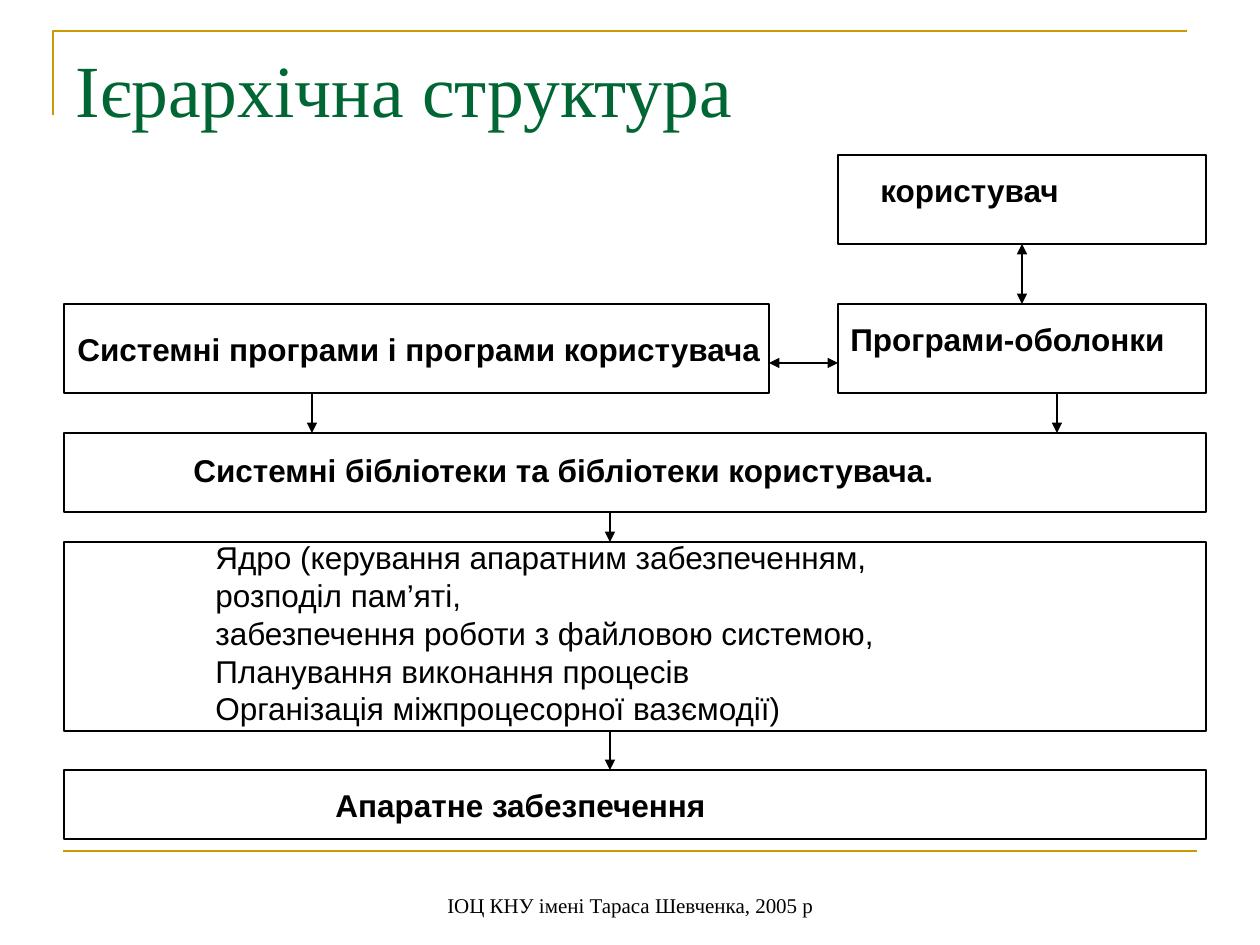
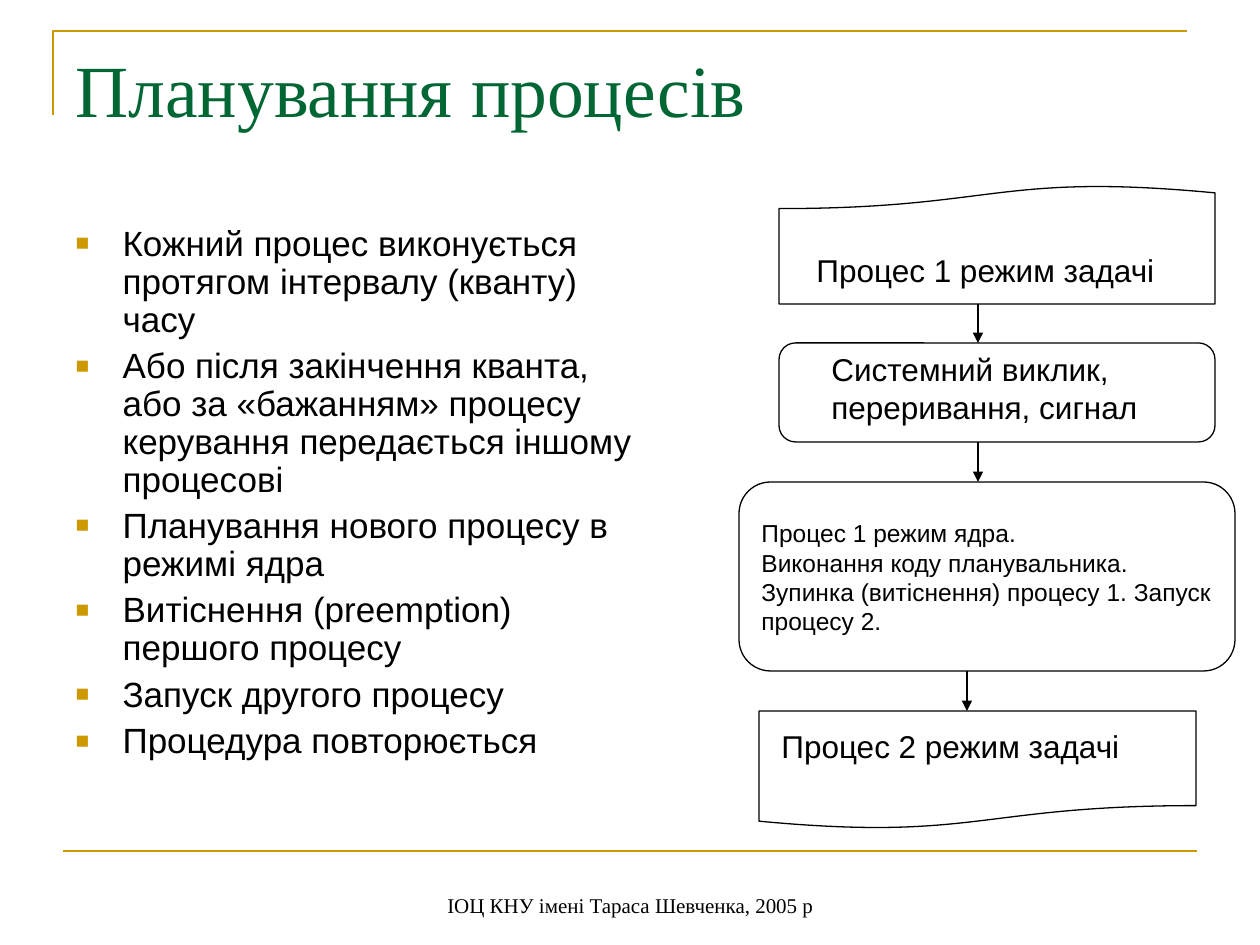
import dataclasses

import lxml.etree
import pptx
import pptx.dml.color
import pptx.enum.shapes
import pptx.enum.text
import pptx.oxml.ns
import pptx.util

SCALE = 914400 / 126
KIND = pptx.enum.shapes.MSO_SHAPE
ALIGN = pptx.enum.text.PP_ALIGN
ANCHOR = pptx.enum.text.MSO_ANCHOR
FIT = pptx.enum.text.MSO_AUTO_SIZE


@dataclasses.dataclass(frozen=True)
class Theme:
    """Colours, fonts and type sizes of the deck."""
    ink: str = "000000"
    green: str = "006633"
    gold: str = "CC9900"
    serif: str = "Times New Roman"
    sans: str = "Arial"
    title: int = 42
    body: int = 20
    label: int = 18
    small: int = 14
    foot: int = 12
    thin: float = 0.75
    rule: float = 1.5


THEME = Theme()


def px(*nums):
    """Turn px lengths into EMU."""
    return [pptx.util.Emu(round(num * SCALE)) for num in nums]


def rgb(code):
    """Turn a hex code into a colour."""
    return pptx.dml.color.RGBColor.from_string(code)


def child(parent, tag, **attrs):
    """Append an XML element to its parent."""
    return lxml.etree.SubElement(parent, pptx.oxml.ns.qn(tag), attrs)


def place(shape, box):
    """Move and size a shape to a px box."""
    shape.left, shape.top, shape.width, shape.height = px(*box)


def write(frame, text, size=THEME.label, color=THEME.ink, font=THEME.sans, bold=False,
          align=ALIGN.LEFT, anchor=ANCHOR.TOP, wrap=True, fit=FIT.NONE):
    """Fill a text frame, one paragraph a line."""
    frame.text = text
    frame.word_wrap = wrap
    frame.auto_size = fit
    frame.vertical_anchor = anchor
    for para in frame.paragraphs:
        para.alignment = align
        for run in para.runs:
            run.font.size = pptx.util.Pt(size)
            run.font.name = font
            run.font.bold = bold
            run.font.color.rgb = rgb(color)


def label(slide, box, text, **form):
    """Add a text box."""
    shape = slide.shapes.add_textbox(*px(*box))
    write(shape.text_frame, text, **form)


def stroke(shape, color=THEME.ink, width=THEME.thin):
    """Set the outline of a shape."""
    shape.line.color.rgb = rgb(color)
    shape.line.width = pptx.util.Pt(width)


def node(slide, kind, box, area, text, turn=0, **form):
    """Add an outlined box with its label."""
    shape = slide.shapes.add_shape(kind, *px(*box))
    shape.shadow.inherit = False
    shape.fill.background()
    shape.rotation = turn
    stroke(shape)
    label(slide, area, text, fit=FIT.SHAPE_TO_FIT_TEXT, **form)
    return shape


def line(slide, start, end, **form):
    """Add a straight line without a shadow."""
    link = slide.shapes.add_connector(
        pptx.enum.shapes.MSO_CONNECTOR.STRAIGHT, *px(*start, *end))
    stroke(link, **form)
    child(link._element.spPr, "a:effectLst")
    return link


def arrow(slide, start, end, both=False):
    """Add a line with one or two arrowheads."""
    link = line(slide, start, end)
    edge = link._element.spPr.find(pptx.oxml.ns.qn("a:ln"))
    for tag in ("a:headEnd", "a:tailEnd") if both else ("a:tailEnd",):
        child(edge, tag, type="triangle")
    return link


def drop(slide, x, top, end):
    """Add an arrow straight down."""
    arrow(slide, (x, top), (x, end))


def bullets(slide, box, items):
    """Fill the body placeholder with a bulleted list."""
    body = slide.placeholders[1]
    place(body, box)
    write(body.text_frame, "\n".join(items), size=THEME.body)
    indent = px(47)[0]
    for para in body.text_frame.paragraphs:
        para.line_spacing = 0.9
        para.space_before = pptx.util.Pt(5)
        props = para._p.get_or_add_pPr()
        props.set("marL", str(indent))
        props.set("indent", str(-indent))
        child(child(props, "a:buClr"), "a:srgbClr", val=THEME.gold)
        child(props, "a:buSzPct", val="65000")
        child(props, "a:buFont", typeface=THEME.sans)
        child(props, "a:buChar", char="■")


def start(deck, layout, title):
    """Add a slide with its rules, title and footer."""
    slide = deck.slides.add_slide(deck.slide_layouts[layout])
    pen = slide.shapes.build_freeform(53, 115, SCALE)
    pen.add_line_segments([(53, 31), (1187, 31)], close=False)
    corner = pen.convert_to_shape()
    corner.shadow.inherit = False
    corner.fill.background()
    stroke(corner, THEME.gold, THEME.rule)
    line(slide, (63, 851), (1197, 851), color=THEME.gold, width=THEME.rule)
    place(slide.shapes.title, (63, 38, 1134, 157))
    write(slide.shapes.title.text_frame, title, size=THEME.title,
          color=THEME.green, font=THEME.serif)
    label(slide, (431, 861, 399, 63), "ІОЦ КНУ імені Тараса Шевченка, 2005 р",
          size=THEME.foot, font=THEME.serif, align=ALIGN.CENTER, anchor=ANCHOR.BOTTOM)
    return slide


def layers(deck):
    """Build the slide on the layers of the system."""
    slide = start(deck, 5, "Ієрархічна структура")
    left, wide, side, row = 64, 1142, 838, 304
    bold = {"bold": True, "wrap": False}
    node(slide, KIND.RECTANGLE, (left, 770, wide, 69), (323, 780, 396, 50),
         "Апаратне забезпечення", **bold)
    node(slide, KIND.RECTANGLE, (left, 542, wide, 189), (203, 532, 721, 202),
         "Ядро (керування апаратним забезпеченням,\nрозподіл пам’яті,\n"
         "забезпечення роботи з файловою системою,\nПланування виконання процесів\n"
         "Організація міжпроцесорної вазємодії)")
    node(slide, KIND.RECTANGLE, (left, 433, wide, 79), (181, 445, 770, 50),
         "Системні бібліотеки та бібліотеки користувача.", **bold)
    node(slide, KIND.RECTANGLE, (left, row, 705, 89), (65, 324, 709, 50),
         "Системні програми і програми користувача", **bold)
    shell = node(slide, KIND.RECTANGLE, (side, row, 368, 89), (side, 314, 377, 50),
                 "Програми-оболонки", bold=True)
    user = node(slide, KIND.RECTANGLE, (side, 155, 368, 89), (868, 165, 204, 50),
                "користувач", **bold)
    link = arrow(slide, (1022, row), (1022, 244), both=True)
    link.begin_connect(shell, 0)
    link.end_connect(user, 2)
    arrow(slide, (769, 363), (side, 363), both=True)
    for x, top, end in ((312, 393, 433), (1057, 393, 433), (610, 512, 542), (610, 731, 770)):
        drop(slide, x, top, end)


def turns(deck):
    """Build the slide on process scheduling."""
    slide = start(deck, 1, "Планування процесів")
    bullets(slide, (63, 220, 597, 624), (
        "Кожний процес виконується протягом інтервалу (кванту) часу",
        "Або після закінчення кванта, або за «бажанням» процесу керування "
        "передається іншому процесові",
        "Планування нового процесу в режимі ядра",
        "Витіснення (preemption) першого процесу",
        "Запуск другого процесу",
        "Процедура повторюється"))
    node(slide, KIND.FLOWCHART_DOCUMENT, (779, 185, 436, 119), (804, 245, 412, 50),
         "Процес 1 режим задачі", turn=180)
    node(slide, KIND.FLOWCHART_ALTERNATE_PROCESS, (779, 343, 436, 99), (819, 344, 331, 88),
         "Системний виклик,\nпереривання, сигнал", wrap=False)
    node(slide, KIND.FLOWCHART_ALTERNATE_PROCESS, (739, 482, 496, 189), (749, 512, 486, 131),
         "Процес 1 режим ядра.\nВиконання коду планувальника. "
         "Зупинка (витіснення) процесу 1. Запуск процесу 2.", size=THEME.small)
    node(slide, KIND.FLOWCHART_DOCUMENT, (759, 711, 437, 118), (769, 721, 412, 50),
         "Процес 2 режим задачі")
    for x, top, end in ((978, 304, 343), (978, 442, 482), (967, 671, 711)):
        drop(slide, x, top, end)


def main():
    """Build and save the deck."""
    deck = pptx.Presentation()
    deck.slide_width, deck.slide_height = px(1260, 945)
    layers(deck)
    turns(deck)
    deck.save("out.pptx")


if __name__ == "__main__":
    main()
